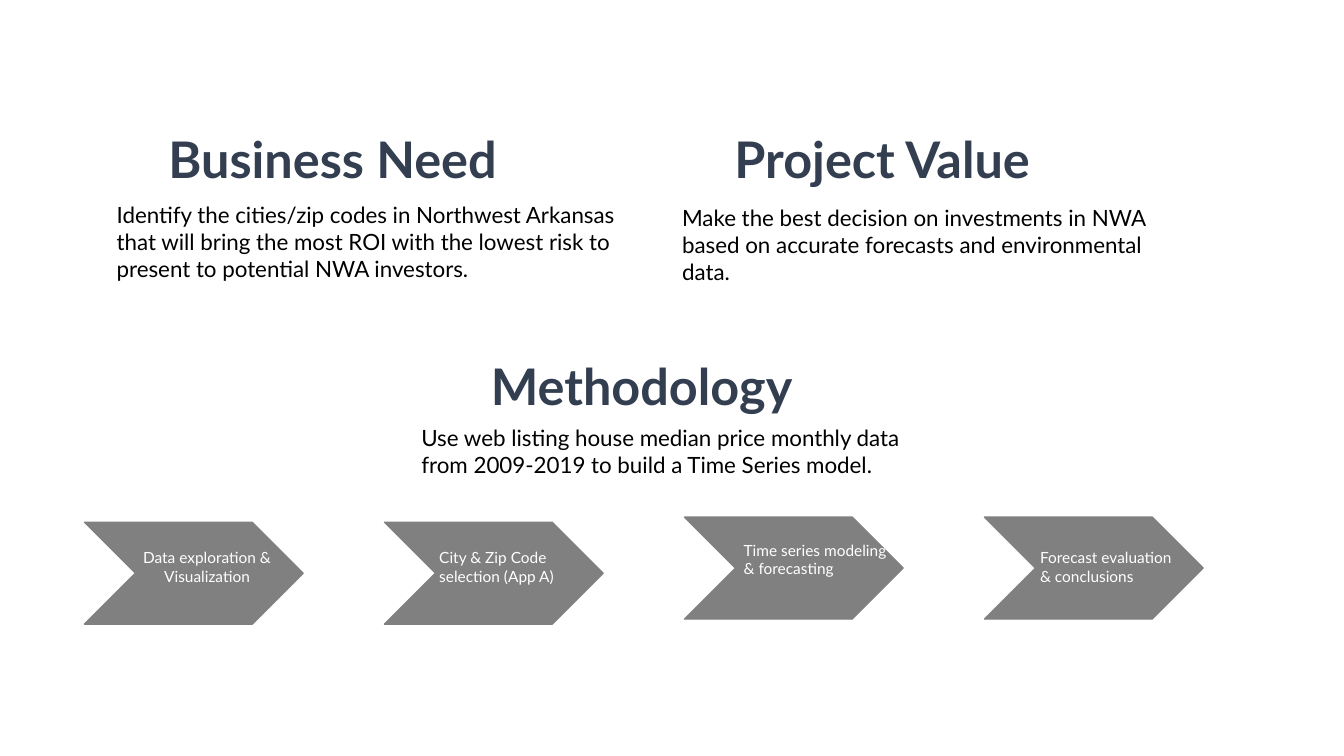
from pptx import Presentation
from pptx.dml.color import RGBColor
from pptx.enum.shapes import MSO_SHAPE
from pptx.enum.text import MSO_ANCHOR, MSO_AUTO_SIZE, PP_ALIGN
from pptx.util import Cm, Pt

HEAD = {"name": "Lato", "size": Pt(36), "bold": True}
BODY = {"name": "Lato", "size": Pt(16), "bold": False}
STEP = {"name": "Lato", "size": Pt(11), "bold": False}
FRAME = {"word_wrap": True, "auto_size": MSO_AUTO_SIZE.NONE,
         "vertical_anchor": MSO_ANCHOR.TOP}
NAVY, BLACK, WHITE, GRAY = "333F50", "000000", "FFFFFF", "808080"
LEFT, PITCH = 2.13, 7.56

# Section heading: text, left, top, width
HEADS = [
    ("Business Need", 3.99, 3.1, 10.49),
    ("Project Value", 18.26, 3.1, 9.22),
    ("Methodology", 12.12, 8.83, 8.23),
]
# Section text: text, left, top, width, height
NOTES = [
    ("Identify the cities/zip codes in Northwest Arkansas that will bring "
     "the most ROI with the lowest risk to present to potential NWA "
     "investors.", 2.69, 4.95, 13.28, 2.31),
    ("Make the best decision on investments in NWA based on accurate "
     "forecasts and environmental data.", 16.94, 5.03, 12.47, 2.31),
    ("Use web listing house median price monthly data from 2009-2019 to "
     "build a Time Series model.", 10.37, 10.57, 13.28, 1.63),
]
# Process step: text, chevron top, label inset, label top, alignment
STEPS = [
    ("Data exploration & Visualization", 13.16, 1.02, 13.69, PP_ALIGN.CENTER),
    ("City & Zip Code selection (App A)", 13.16, 1.13, 13.69, PP_ALIGN.LEFT),
    ("Time series modeling\n& forecasting", 13.03, 1.24, 13.51, PP_ALIGN.LEFT),
    ("Forecast evaluation\n& conclusions", 13.03, 1.15, 13.69, PP_ALIGN.LEFT),
]


def color(code):
    return RGBColor.from_string(code)


def apply(target, values):
    for key, value in values.items():
        setattr(target, key, value)


def write(shape, text, style, ink, align=PP_ALIGN.LEFT):
    frame = shape.text_frame
    frame.text = text
    apply(frame, FRAME)
    for para in frame.paragraphs:
        para.alignment = align
        apply(para.font, style)
        para.font.color.rgb = color(ink)


def add_box(shapes, left, top, width, height):
    return shapes.add_textbox(Cm(left), Cm(top), Cm(width), Cm(height))


def add_head(slide, index, text, left, top, width):
    """Put the first heading in the title placeholder, others in boxes."""
    if index == 0:
        box = slide.shapes.title
        apply(box, {"left": Cm(left), "top": Cm(top),
                    "width": Cm(width), "height": Cm(1.8)})
    else:
        box = add_box(slide.shapes, left, top, width, 1.8)
    write(box, text, HEAD, NAVY)


def add_step(shapes, index, text, top, inset, text_top, align):
    left = LEFT + index * PITCH
    arrow = shapes.add_shape(MSO_SHAPE.CHEVRON, Cm(left), Cm(top),
                             Cm(5.51), Cm(2.57))
    arrow.shadow.inherit = False
    arrow.fill.solid()
    arrow.fill.fore_color.rgb = color(GRAY)
    arrow.line.color.rgb = color(GRAY)
    arrow.line.width = Pt(1)
    label = add_box(shapes, left + inset, text_top, 4.14, 1.2)
    write(label, text, STEP, WHITE, align)


def main():
    deck = Presentation()
    deck.slide_width, deck.slide_height = Cm(33.87), Cm(19.05)
    slide = deck.slides.add_slide(deck.slide_layouts.get_by_name("Title Only"))
    flow = slide.shapes.add_group_shape()
    for index, step in enumerate(STEPS):
        add_step(flow.shapes, index, *step)
    for index, head in enumerate(HEADS):
        add_head(slide, index, *head)
    for text, *place in NOTES:
        write(add_box(slide.shapes, *place), text, BODY, BLACK)
    deck.save("out.pptx")


if __name__ == "__main__":
    main()
